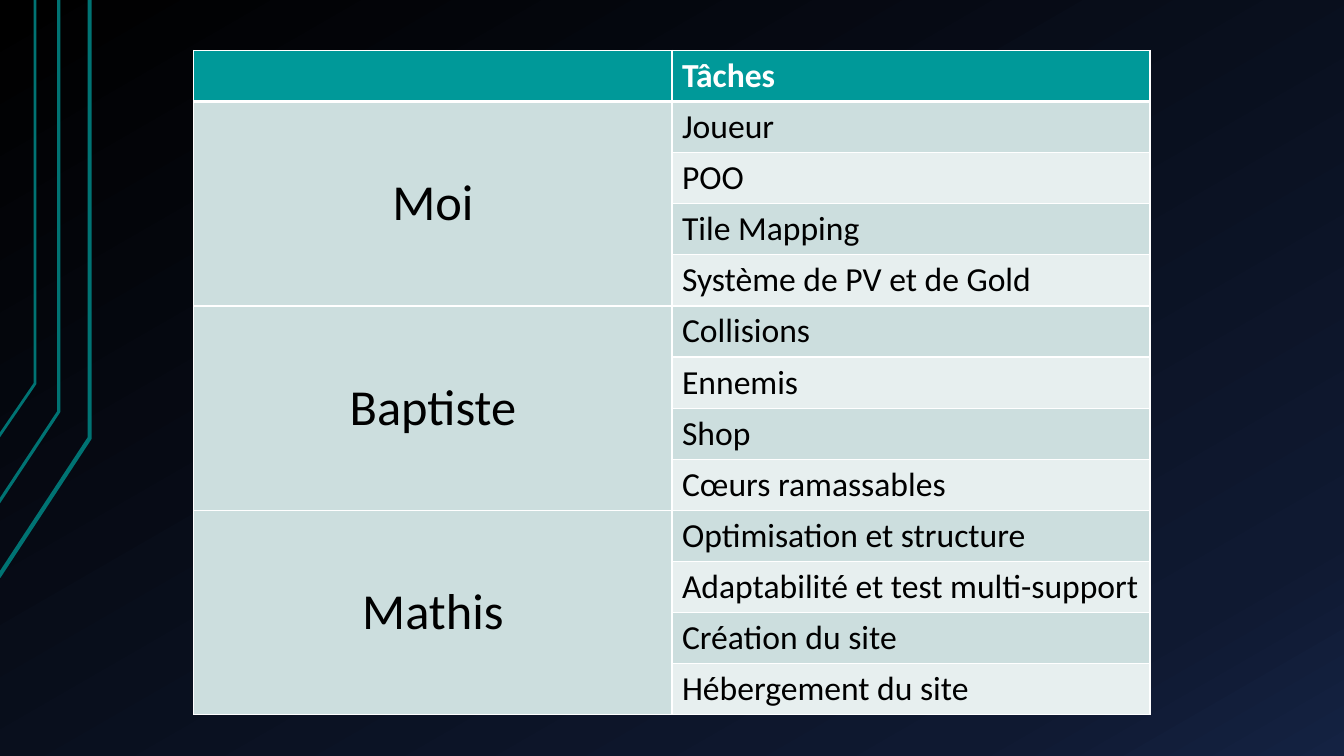
from copy import deepcopy

from lxml.etree import SubElement as Sub
from pptx import Presentation
from pptx.dml.color import RGBColor as RGB
from pptx.enum.text import MSO_ANCHOR as Anchor, PP_ALIGN as Align
from pptx.oxml.ns import qn
from pptx.util import Pt

WHITE = RGB(0xFF, 0xFF, 0xFF)
BLACK = RGB(0, 0, 0)
NAVY = RGB(0x0F, 0x19, 0x31)
BLUE = RGB(0x14, 0x22, 0x42)
TEAL = RGB(0, 0x99, 0x99)
DEEP = RGB(0, 0x73, 0x73)
MIST = RGB(0xCC, 0xDE, 0xDE)
PALE = RGB(0xE7, 0xEF, 0xEF)
FONT = "Calibri"
TASKS = {
    "Moi": ["Joueur", "POO", "Tile Mapping", "Système de PV et de Gold"],
    "Baptiste": ["Collisions", "Ennemis", "Shop", "Cœurs ramassables"],
    "Mathis": ["Optimisation et structure", "Adaptabilité et test multi-support",
               "Création du site", "Hébergement du site"],
}


def write(cell, text, size=24, color=BLACK, bold=False, align=Align.JUSTIFY,
          anchor=Anchor.MIDDLE):
    """Put formatted text in a cell."""
    cell.vertical_anchor = anchor
    para = cell.text_frame.paragraphs[0]
    para.alignment = align
    run = para.add_run()
    run.text = text
    font = run.font
    font.name, font.size, font.bold = FONT, Pt(size), bold
    font.color.rgb = color


def paint(cell, color, top=1, base=1):
    """Give a cell its white borders and its fill."""
    props = cell._tc.get_or_add_tcPr()
    for side, width in zip("LRTB", (1, 1, top, base)):
        line = Sub(props, qn(f"a:ln{side}"), w=str(Pt(width)))
        Sub(Sub(line, qn("a:solidFill")), qn("a:srgbClr"), val=str(WHITE))
    cell.fill.solid()
    cell.fill.fore_color.rgb = color


def shade(slide):
    """Fill the background with the dark gradient."""
    fill = slide.background.fill
    fill.gradient()
    stops = next(slide.element.iter(qn("a:gsLst")))
    stops.append(deepcopy(stops[-1]))
    for stop, (place, color) in zip(fill.gradient_stops,
                                    ((0, BLACK), (0.85, NAVY), (1, BLUE))):
        stop.position = place
        stop.color.rgb = color
    fill.gradient_angle = 300


def trace(slide, left, top):
    """Draw the three bent lines from the left edge to the top edge."""
    for x, bend, end, width in ((64, 313, 412, 3), (42, 294, 359, 2.25),
                                (25, 274, 312, 2)):
        path = slide.shapes.build_freeform(left - Pt(1), top + Pt(end))
        path.add_line_segments([(left + Pt(x), top + Pt(bend)),
                                (left + Pt(x), top)], close=False)
        shape = path.convert_to_shape()
        shape.shadow.inherit = False
        shape.fill.background()
        shape.line.color.rgb = DEEP
        shape.line.width = Pt(width)


def chart(slide, left, top, width, height):
    """Build the table of tasks by person in the given box."""
    count = 1 + sum(map(len, TASKS.values()))
    table = slide.shapes.add_table(count, 2, left, top, width, height).table
    for row in table.rows:
        row.height = height // count
    for col in range(2):
        paint(table.cell(0, col), TEAL, base=3)
    write(table.cell(0, 1), "Tâches", color=WHITE, bold=True,
          align=Align.LEFT, anchor=Anchor.TOP)
    first = 1
    for name, tasks in TASKS.items():
        for row, task in enumerate(tasks, first):
            edge = 3 if row == 1 else 1
            paint(table.cell(row, 0), MIST, top=edge)
            paint(table.cell(row, 1), MIST if row % 2 else PALE, top=edge)
            write(table.cell(row, 1), task)
        head = table.cell(first, 0)
        head.merge(table.cell(row, 0))
        write(head, name, size=36, align=Align.CENTER)
        first = row + 1


def main():
    """Make the slide and save it."""
    deck = Presentation()
    deck.slide_width, deck.slide_height = Pt(960), Pt(540)
    slide = deck.slides.add_slide(deck.slide_layouts[6])
    shade(slide)
    trace(slide, Pt(0), Pt(0))
    chart(slide, Pt(138.5), Pt(36), Pt(683), Pt(474.5))
    deck.save("out.pptx")


if __name__ == "__main__":
    main()
